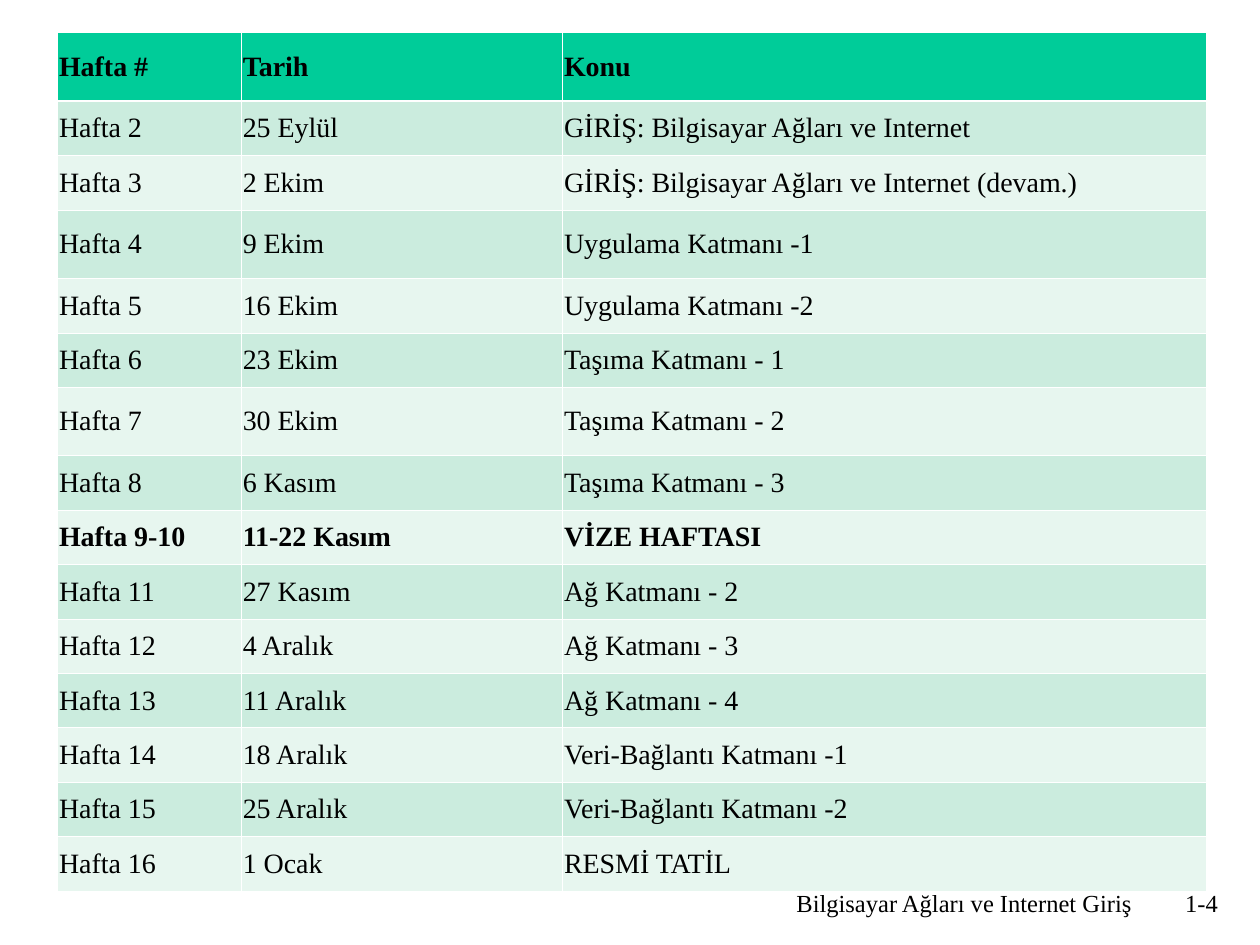
from lxml.etree import SubElement
from pptx import Presentation
from pptx.dml.color import RGBColor
from pptx.enum.text import MSO_ANCHOR, PP_ALIGN
from pptx.oxml.ns import qn
from pptx.util import Pt

WEEKS = [
    ("Hafta #", "Tarih", "Konu"),
    ("Hafta 2", "25 Eylül", "GİRİŞ: Bilgisayar Ağları ve Internet"),
    ("Hafta 3", "2 Ekim", "GİRİŞ: Bilgisayar Ağları ve Internet (devam.)"),
    ("Hafta 4", "9 Ekim", "Uygulama Katmanı -1"),
    ("Hafta 5", "16 Ekim", "Uygulama Katmanı -2"),
    ("Hafta 6", "23 Ekim", "Taşıma Katmanı - 1"),
    ("Hafta 7", "30 Ekim", "Taşıma Katmanı - 2"),
    ("Hafta 8", "6 Kasım", "Taşıma Katmanı - 3"),
    ("Hafta 9-10", "11-22 Kasım", "VİZE HAFTASI"),
    ("Hafta 11", "27 Kasım", "Ağ Katmanı - 2"),
    ("Hafta 12", "4 Aralık", "Ağ Katmanı - 3"),
    ("Hafta 13", "11 Aralık", "Ağ Katmanı - 4"),
    ("Hafta 14", "18 Aralık", "Veri-Bağlantı Katmanı -1"),
    ("Hafta 15", "25 Aralık", "Veri-Bağlantı Katmanı -2"),
    ("Hafta 16", "1 Ocak", "RESMİ TATİL"),
]
WIDTHS = (105, 183.6, 367.6)
TALL, SHORT = 39.1, 31.1
TALL_ROWS = {0, 3, 6}
BOLD_ROWS = {0, 8}
LEFT_CELLS = {(row, 2) for row in range(1, 7)} | {(7, 1)}


def color(code):
    return RGBColor.from_string(code)


class Deck:
    font, ink, rule = "Times New Roman", "000000", "FFFFFF"
    head, bands = "00CC99", ("E7F6EF", "CBECDE")
    thin, thick = 0.45, 1.47

    def __init__(self, slide):
        self.slide = slide

    def text(self, frame, words, size, align, bold=False):
        para = frame.paragraphs[0]
        para.text, para.alignment = words, align
        font = para.font
        font.name, font.size, font.bold = self.font, Pt(size), bold
        font.color.rgb = color(self.ink)

    def label(self, words, left, top, width, height):
        box = self.slide.shapes.add_textbox(Pt(left), Pt(top), Pt(width), Pt(height))
        box.text_frame.word_wrap = True
        self.text(box.text_frame, words, 14, PP_ALIGN.RIGHT)

    def border(self, cell, side, width):
        line = SubElement(cell._tc.get_or_add_tcPr(), qn(f"a:ln{side}"), w=str(Pt(width)))
        fill = SubElement(line, qn("a:solidFill"))
        SubElement(fill, qn("a:srgbClr"), val=self.rule)

    def cell(self, cell, words, row, align):
        cell.margin_left = cell.margin_right = Pt(0.75)
        cell.margin_top = cell.margin_bottom = Pt(3.6)
        cell.vertical_anchor = MSO_ANCHOR.MIDDLE
        heavy = {0: "B", 1: "T"}.get(row)
        for side in "LRTB":
            self.border(cell, side, self.thick if side == heavy else self.thin)
        cell.fill.solid()
        cell.fill.fore_color.rgb = color(self.bands[row % 2] if row else self.head)
        self.text(cell.text_frame, words, 16, align, row in BOLD_ROWS)

    def table(self, rows, left, top, widths, heights):
        frame = self.slide.shapes.add_table(
            len(rows), len(widths), Pt(left), Pt(top), Pt(sum(widths)), Pt(sum(heights)))
        grid = frame.table
        for col, width in zip(grid.columns, widths):
            col.width = Pt(width)
        for r, (texts, height) in enumerate(zip(rows, heights)):
            grid.rows[r].height = Pt(height)
            for c, words in enumerate(texts):
                align = PP_ALIGN.LEFT if (r, c) in LEFT_CELLS else PP_ALIGN.JUSTIFY
                self.cell(grid.cell(r, c), words, r, align)


def main():
    show = Presentation()
    show.slide_width, show.slide_height = Pt(720), Pt(540)
    deck = Deck(show.slides.add_slide(show.slide_layouts[6]))
    deck.label("Bilgisayar Ağları ve Internet Giriş", 426, 504, 228, 36)
    deck.label("1-4", 654, 504, 49, 36)
    heights = [TALL if r in TALL_ROWS else SHORT for r in range(len(WEEKS))]
    deck.table(WEEKS, 33, 18.75, WIDTHS, heights)
    show.save("out.pptx")


if __name__ == "__main__":
    main()
